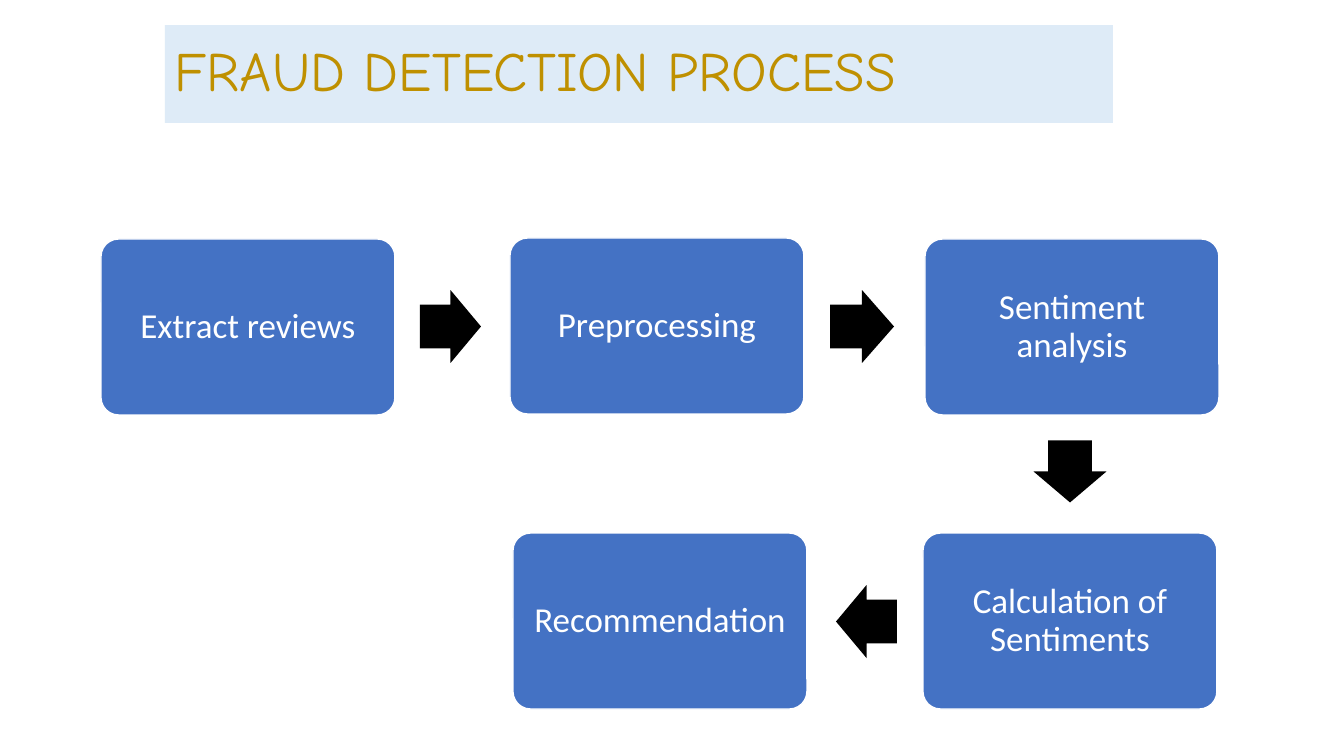
from dataclasses import dataclass

from pptx import Presentation
from pptx.dml.color import RGBColor
from pptx.enum.shapes import MSO_SHAPE
from pptx.enum.text import MSO_ANCHOR, PP_ALIGN
from pptx.util import Pt

RECTANGLE = MSO_SHAPE.RECTANGLE
ROUNDED = MSO_SHAPE.ROUNDED_RECTANGLE
RIGHT_ARROW = MSO_SHAPE.RIGHT_ARROW
MIDDLE = MSO_ANCHOR.MIDDLE
LEFT, CENTER = PP_ALIGN.LEFT, PP_ALIGN.CENTER

EMU_PER_PX = 914400 / 100.8
SLIDE_SIZE = (1344, 756)
STEP_SIZE = (294, 176)
ARROW_HEIGHT = 73

# text, left, top
STEPS = [
    ("Extract reviews", 101, 239),
    ("Preprocessing", 510, 238),
    ("Sentiment analysis", 925, 239),
    ("Calculation of Sentiments", 923, 533),
    ("Recommendation", 513, 533),
]
# left, top, length, rotation
ARROWS = [
    (420, 290, 61, 0),
    (830, 290, 64, 0),
    (1039, 435, 62, 90),
    (836, 585, 61, 180),
]


@dataclass(frozen=True)
class Theme:
    banner: RGBColor = RGBColor(0xDE, 0xEB, 0xF7)
    heading: RGBColor = RGBColor(0xBF, 0x90, 0x00)
    step: RGBColor = RGBColor(0x44, 0x72, 0xC4)
    arrow: RGBColor = RGBColor(0, 0, 0)
    white: RGBColor = RGBColor(0xFF, 0xFF, 0xFF)
    heading_font: str = "Comic Neue"
    step_font: str = "Calibri"
    heading_size: float = 39.6
    step_size: float = 25


THEME = Theme()


def px(length):
    return round(length * EMU_PER_PX)


def add_block(slide, preset, left, top, width, height, color):
    """Add a flat filled shape without outline or shadow."""
    block = slide.shapes.add_shape(preset, px(left), px(top), px(width), px(height))
    block.shadow.inherit = False
    block.fill.solid()
    block.fill.fore_color.rgb = color
    block.line.fill.background()
    return block


def write_label(block, text, font_name, size, color, alignment):
    frame = block.text_frame
    frame.word_wrap = True
    frame.vertical_anchor = MIDDLE
    label = frame.paragraphs[0]
    label.text = text
    label.alignment = alignment
    label.line_spacing = 0.9
    label.font.name = font_name
    label.font.size = Pt(size)
    label.font.color.rgb = color


def add_heading(slide, text):
    banner = add_block(slide, RECTANGLE, 165, 25, 948, 98, THEME.banner)
    write_label(banner, text, THEME.heading_font, THEME.heading_size,
                THEME.heading, LEFT)


def add_step(slide, text, left, top):
    step = add_block(slide, ROUNDED, left, top, *STEP_SIZE, THEME.step)
    step.adjustments[0] = 0.1
    step.line.color.rgb = THEME.white
    step.line.width = Pt(1)
    write_label(step, text, THEME.step_font, THEME.step_size, THEME.white, CENTER)


def add_arrow(slide, left, top, length, rotation):
    arrow = add_block(slide, RIGHT_ARROW, left, top, length, ARROW_HEIGHT, THEME.arrow)
    arrow.adjustments[0] = 0.6
    arrow.adjustments[1] = 0.5
    arrow.rotation = rotation


def main():
    deck = Presentation()
    deck.slide_width, deck.slide_height = map(px, SLIDE_SIZE)
    slide = deck.slides.add_slide(deck.slide_layouts[6])
    add_heading(slide, "FRAUD DETECTION PROCESS")
    for step in STEPS:
        add_step(slide, *step)
    for arrow in ARROWS:
        add_arrow(slide, *arrow)
    deck.save("out.pptx")


if __name__ == "__main__":
    main()
